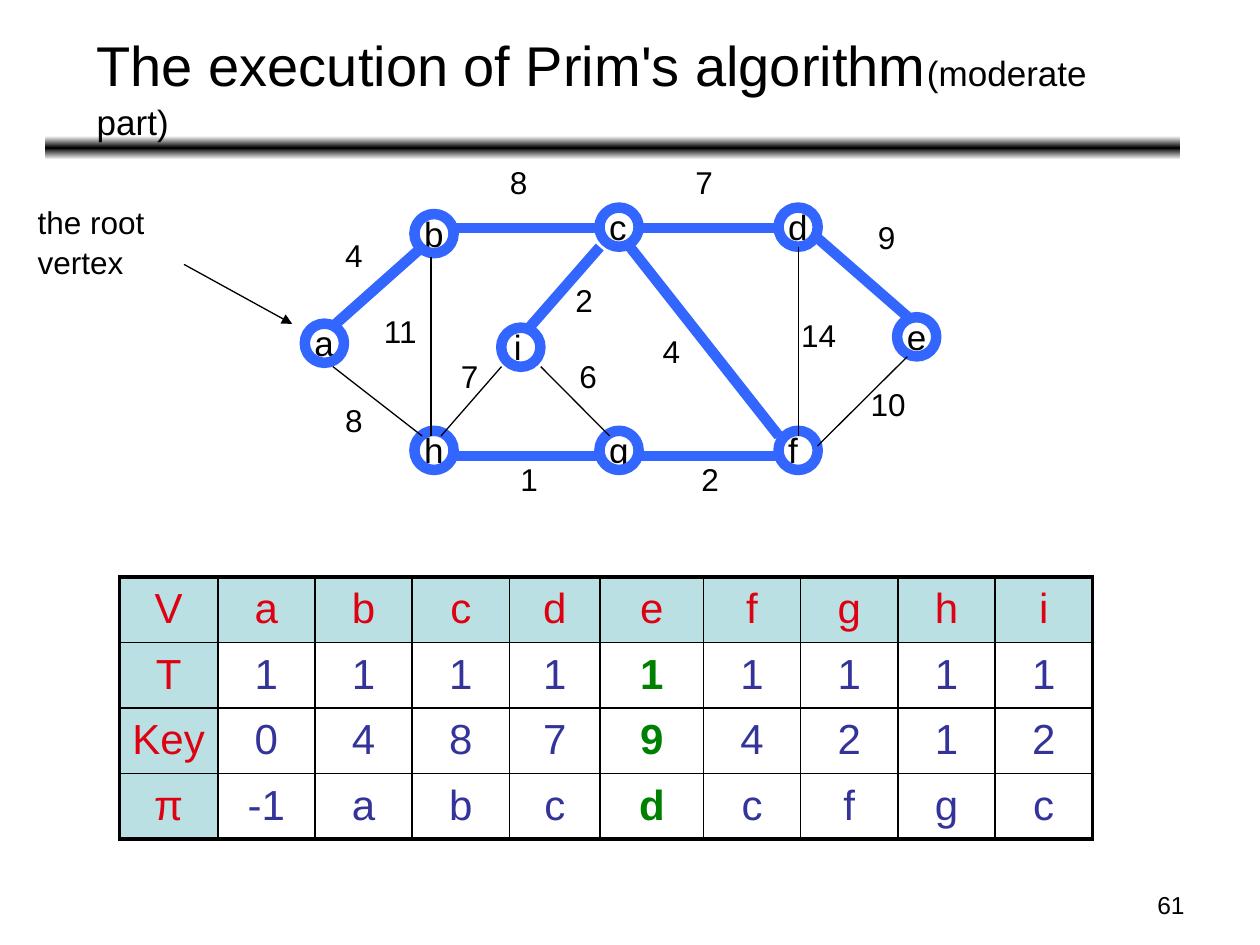
from dataclasses import dataclass
from typing import Any

import lxml.etree
import pptx
import pptx.dml.color
import pptx.enum.shapes
import pptx.enum.text
import pptx.oxml
import pptx.oxml.ns
import pptx.util

Cm, Pt = pptx.util.Cm, pptx.util.Pt
ALIGN = pptx.enum.text.PP_ALIGN
SHAPE = pptx.enum.shapes.MSO_SHAPE
FONT, BLACK, BLUE, TEAL = "Arial", "000000", "3366FF", "BBE0E3"
RED, INDIGO, GREEN = "DD0111", "333399", "008000"
RING, ROW_HEIGHT, CURRENT = 0.79, 1.27, 5


@dataclass
class Run:
    text: str
    size: float
    color: str = BLACK
    bold: bool = False


@dataclass
class Node:
    name: str
    x: float
    y: float
    text_width: float = 0.91
    text_shift: float = -0.45


@dataclass
class Edge:
    weight: str
    start: tuple[float, float]
    end: tuple[float, float]
    label: tuple[float, float]
    in_tree: bool = False


NODES = [
    Node("a", 6.54, 6.92), Node("b", 8.75, 4.71), Node("h", 8.75, 9.08),
    Node("c", 12.48, 4.58, 0.86), Node("d", 16.09, 4.58), Node("e", 18.48, 6.79),
    Node("f", 16.09, 9.08, 0.71), Node("g", 12.48, 9.08), Node("i", 10.5, 7, 0.71, -0.39),
]
EDGES = [
    Edge("4", (6.71, 6.58), (8.51, 4.98), (6.71, 4.6), True),
    Edge("8", (6.71, 7.39), (8.51, 8.79), (6.71, 7.92)),
    Edge("11", (8.69, 5.18), (8.69, 8.79), (7.49, 6.12)),
    Edge("8", (9.09, 4.6), (12.09, 4.6), (10.03, 3.12), True),
    Edge("1", (9.09, 9.19), (12.09, 9.19), (10.24, 9.12), True),
    Edge("2", (12.9, 9.19), (15.7, 9.19), (13.89, 9.12), True),
    Edge("4", (12.7, 4.98), (15.7, 8.79), (13.11, 6.53), True),
    Edge("7", (12.9, 4.6), (15.7, 4.6), (13.77, 3.12), True),
    Edge("14", (16.1, 4.98), (16.1, 8.79), (15.9, 6.2)),
    Edge("9", (16.48, 4.8), (18.29, 6.38), (17.45, 4.24), True),
    Edge("10", (16.48, 8.99), (18.29, 7.19), (17.3, 7.59)),
    Edge("6", (10.9, 7.39), (12.29, 8.79), (11.43, 7.04)),
    Edge("7", (8.89, 8.79), (10.11, 7.39), (9.04, 7.04)),
    Edge("2", (10.69, 6.58), (12.09, 4.98), (11.35, 5.51), True),
]
ROWS = [
    ["V", *"abcdefghi"],
    ["T", *"111111111"],
    ["Key", *"048794212"],
    ["π", "-1", *"abcdcfgc"],
]
COL_WIDTHS = [1.98, 1.96, 1.96, 1.96, 1.83, 2.08, 1.96, 1.96, 1.96, 1.96]


def rgb(color: str) -> pptx.dml.color.RGBColor:
    """Turn a hex string into a colour."""
    return pptx.dml.color.RGBColor.from_string(color)


def write(tf: Any, runs: list[Run], align: Any = ALIGN.LEFT) -> None:
    """Fill the first paragraph of a text frame run by run."""
    p = tf.paragraphs[0]
    p.alignment = align
    p.line_spacing = 1.05
    for run in runs:
        r = p.add_run()
        r.text = run.text
        r.font.name, r.font.size, r.font.bold = FONT, Pt(run.size), run.bold
        r.font.color.rgb = rgb(run.color)


def add_text(shapes: Any, x: float, y: float, w: float, h: float, runs: list[Run],
             wrap: bool = False, align: Any = ALIGN.LEFT) -> None:
    """Add a text box."""
    tf = shapes.add_textbox(Cm(x), Cm(y), Cm(w), Cm(h)).text_frame
    tf.word_wrap = wrap
    write(tf, runs, align)


def add_line(shapes: Any, start: tuple[float, float], end: tuple[float, float],
             color: str = BLACK, width: float = 0.75, arrow: bool = False) -> None:
    """Add a straight line, with an arrowhead at its end if asked."""
    sp = shapes.add_connector(pptx.enum.shapes.MSO_CONNECTOR.STRAIGHT,
                              Cm(start[0]), Cm(start[1]), Cm(end[0]), Cm(end[1]))
    sp.line.color.rgb, sp.line.width = rgb(color), Pt(width)
    if arrow:
        lxml.etree.SubElement(sp.line._get_or_add_ln(), pptx.oxml.ns.qn("a:tailEnd"), type="triangle")
    lxml.etree.SubElement(sp._element.spPr, pptx.oxml.ns.qn("a:effectLst"))


def add_bar(shapes: Any) -> None:
    """Add the title bar that fades from black to white above and below."""
    sp = shapes.add_shape(SHAPE.ROUNDED_RECTANGLE, Cm(0.91), Cm(2.74), Cm(22.89), Cm(0.48))
    sp.shadow.inherit = False
    sp.line.fill.background()
    sp.fill.gradient()
    sp.fill.gradient_angle = 270
    stops = sp._element.spPr.find(".//" + pptx.oxml.ns.qn("a:gsLst"))
    for stop in list(stops):
        stops.remove(stop)
    for pos, color in ((0, "FFFFFF"), (50, BLACK), (100, "FFFFFF")):
        gs = lxml.etree.SubElement(stops, pptx.oxml.ns.qn("a:gs"), pos=str(pos * 1000))
        lxml.etree.SubElement(gs, pptx.oxml.ns.qn("a:srgbClr"), val=color)


def add_node(shapes: Any, node: Node) -> None:
    """Add a vertex name and its ring."""
    add_text(shapes, node.x + node.text_shift, node.y - 0.6, node.text_width, 1.09,
             [Run(node.name, 20)])
    sp = shapes.add_shape(SHAPE.OVAL, Cm(node.x - RING / 2), Cm(node.y - RING / 2), Cm(RING), Cm(RING))
    sp.shadow.inherit = False
    sp.fill.background()
    sp.line.color.rgb, sp.line.width = rgb(BLUE), Pt(6)


def add_borders(cell: Any, outer: dict[str, bool]) -> None:
    """Draw the four cell borders, thicker on the outside of the table."""
    tc_pr = cell._tc.get_or_add_tcPr()
    for side, is_outer in outer.items():
        width = Pt(2.25 if is_outer else 1)
        ln = lxml.etree.SubElement(tc_pr, pptx.oxml.ns.qn(f"a:ln{side}"), w=str(int(width)))
        fill = lxml.etree.SubElement(ln, pptx.oxml.ns.qn("a:solidFill"))
        lxml.etree.SubElement(fill, pptx.oxml.ns.qn("a:srgbClr"), val=BLACK)


def add_state_table(shapes: Any) -> None:
    """Add the table of T, Key and parent for each vertex."""
    table = shapes.add_table(len(ROWS), len(COL_WIDTHS), Cm(2.41), Cm(11.63),
                             Cm(sum(COL_WIDTHS)), Cm(ROW_HEIGHT * len(ROWS))).table
    table.first_row = table.horz_banding = False
    for col, width in zip(table.columns, COL_WIDTHS):
        col.width = Cm(width)
    for i, values in enumerate(ROWS):
        table.rows[i].height = Cm(ROW_HEIGHT)
        for j, value in enumerate(values):
            cell = table.cell(i, j)
            add_borders(cell, {"L": j == 0, "R": j == len(values) - 1,
                               "T": i == 0, "B": i == len(ROWS) - 1})
            header = i == 0 or j == 0
            current = j == CURRENT and not header
            if header:
                cell.fill.solid()
                cell.fill.fore_color.rgb = rgb(TEAL)
            else:
                cell.fill.background()
            color = RED if header else GREEN if current else INDIGO
            write(cell.text_frame, [Run(value, 24, color, current)], ALIGN.CENTER)


def main() -> None:
    """Build the slide and save it."""
    prs = pptx.Presentation()
    prs.slide_width, prs.slide_height = Cm(25.4), Cm(19.05)
    s = prs.slides.add_slide(prs.slide_layouts[6])
    add_bar(s.shapes)
    add_text(s.shapes, 18.21, 17.78, 5.92, 0.89, [Run("61", 14)], True, ALIGN.RIGHT)
    add_text(s.shapes, 1.7, 0.43, 21.79, 1.6,
             [Run("The execution of Prim's algorithm", 32), Run("(moderate part)", 20)], True)
    add_text(s.shapes, 0.51, 3.94, 3.4, 2.29, [Run("the root vertex", 18)], True)
    add_line(s.shapes, (3.71, 5.33), (5.89, 6.53), arrow=True)
    add_state_table(s.shapes)
    graph = s.shapes.add_group_shape().shapes
    for node in NODES:
        add_node(graph, node)
    for edge in EDGES:
        add_line(graph, edge.start, edge.end, *((BLUE, 6) if edge.in_tree else (BLACK, 0.75)))
    for edge in EDGES:
        add_text(graph, *edge.label, 0.5 + 0.36 * len(edge.weight), 1.02, [Run(edge.weight, 18)])
    prs.save("out.pptx")


if __name__ == "__main__":
    main()
